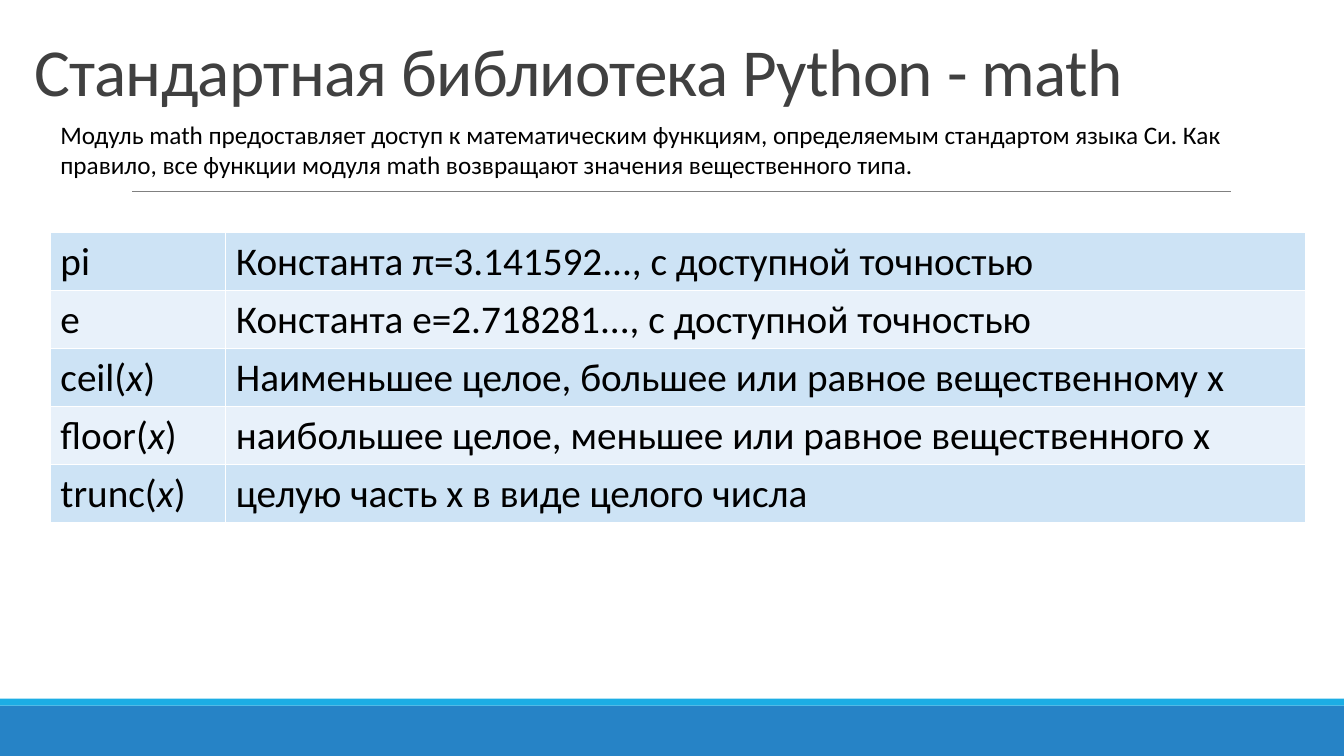
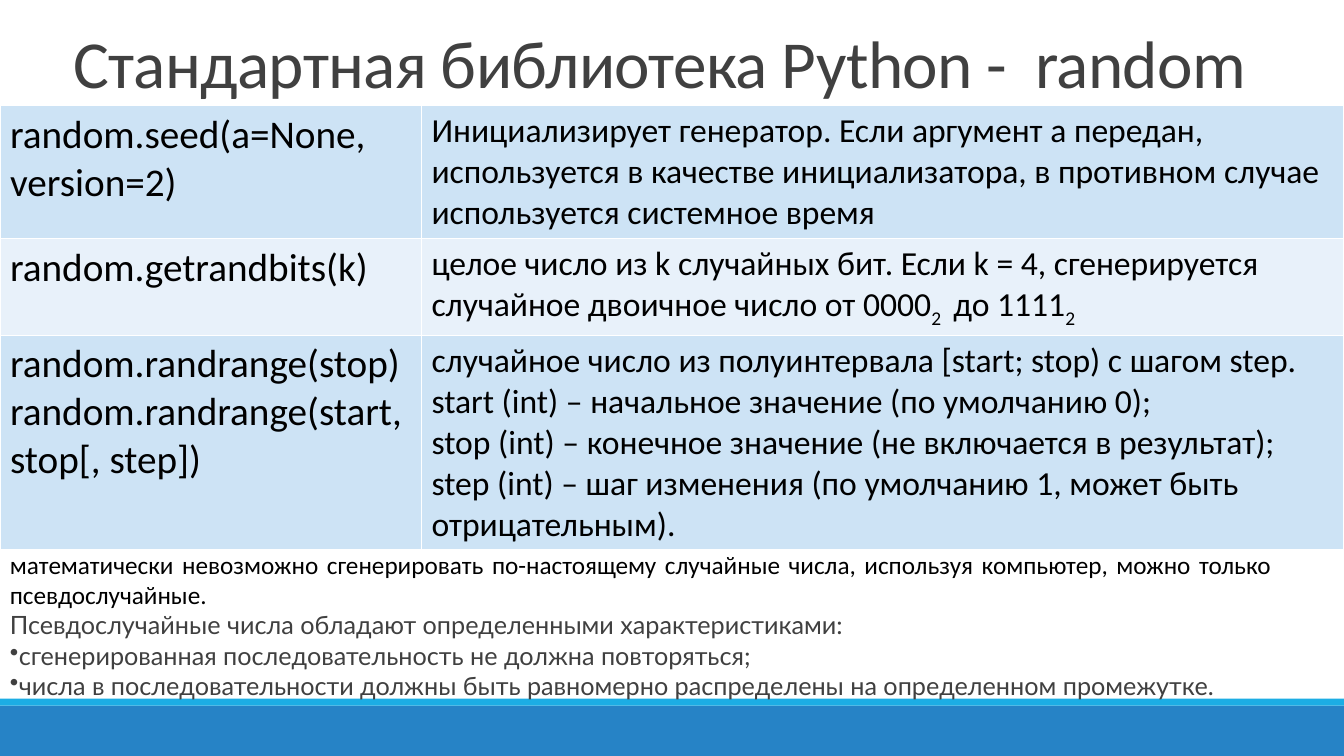
from dataclasses import dataclass

from lxml.etree import SubElement
from pptx import Presentation
from pptx.dml.color import RGBColor as RGB
from pptx.enum.shapes import MSO_CONNECTOR as CONN, MSO_SHAPE as SHAPE
from pptx.enum.text import MSO_ANCHOR as ANCHOR, PP_ALIGN as ALIGN
from pptx.oxml.ns import qn
from pptx.util import Inches, Pt


@dataclass(frozen=True)
class Theme:
    font: str = "Calibri"
    alt_font: str = "Lato"
    ink: str = "000000"
    soft: str = "404040"
    rule: str = "808080"
    grid: str = "FFFFFF"
    band: str = "2683C6"
    strip: str = "1CADE4"
    rows: tuple = ("CDE3F5", "E8F1FA")
    title: int = 48
    term: int = 28
    text: int = 24
    note: int = 18


T = Theme()
ITALIC, SUBSCRIPT = ("i", "1"), ("baseline", "-25000")

# Boxes, column widths and row heights are percentages of the slide's size.
# In table text, every second piece between bars carries the slide's mark.
SLIDES = [
    dict(
        title="Стандартная библиотека Python - math",
        title_box=(1.8, 3.73, 95.35, 11.47),
        table_at=(3.75, 30.8), cols=(13.05, 80.35), rows=[7.67] * 5,
        sizes=(T.term, T.term), mark=ITALIC,
        cells=[
            (["pi"], ["Константа π=3.141592..., с доступной точностью"]),
            (["e"], ["Константа e=2.718281..., с доступной точностью"]),
            (["ceil(|x|)"], ["Наименьшее целое, большее или равное вещественному x"]),
            (["floor(|x|)"], ["наибольшее целое, меньшее или равное вещественного x"]),
            (["trunc(|x|)"], ["целую часть x в виде целого числа"]),
        ],
        note_box=(3.75, 15.07, 88.75, 9.47), note_align=ALIGN.LEFT,
        note=["Модуль math предоставляет доступ к математическим функциям, "
              "определяемым стандартом языка Си. Как правило, все функции модуля "
              "math возвращают значения вещественного типа."],
        details=[], bullets=[],
    ),
    dict(
        title="Стандартная библиотека Python -  random",
        title_box=(4.73, 2.67, 95.35, 11.47),
        table_at=(0, 14), cols=(31.36, 68.64), rows=[17.6, 12.67, 28.4],
        sizes=(T.term, T.text), mark=SUBSCRIPT,
        cells=[
            (["random.seed(a=None, version=2)"],
             ["Инициализирует генератор. Если аргумент a передан, используется "
              "в качестве инициализатора, в противном случае используется "
              "системное время"]),
            (["random.getrandbits(k)"],
             ["целое число из k случайных бит. Если k = 4, сгенерируется "
              "случайное двоичное число от 0000|2 | до 1111|2"]),
            (["random.randrange(stop)", "random.randrange(start, stop[, step])"],
             ["случайное число из полуинтервала [start; stop) с шагом step.",
              "start (int) – начальное значение (по умолчанию 0);",
              "stop (int) – конечное значение (не включается в результат);",
              "step (int) – шаг изменения (по умолчанию 1, может быть "
              "отрицательным)."]),
        ],
        note_box=(0, 72, 95.35, 21.6), note_align=ALIGN.JUSTIFY,
        note=["математически невозможно сгенерировать по-настоящему случайные "
              "числа, используя компьютер, можно только псевдослучайные."],
        details=["Псевдослучайные числа обладают определенными характеристиками:"],
        bullets=["сгенерированная последовательность не должна повторяться;",
                 "числа в последовательности должны быть равномерно распределены "
                 "на определенном промежутке."],
    ),
]

prs = Presentation()
prs.slide_width, prs.slide_height = Inches(13.33), Inches(7.5)


def share(*percents):
    """Turn alternating horizontal and vertical percentages into lengths."""
    sides = (prs.slide_width, prs.slide_height)
    return [int(sides[i % 2] * v / 100) for i, v in enumerate(percents)]


def write(tf, lines, size, color=T.ink, font=T.font, align=ALIGN.LEFT,
          mark=None, bullet=None):
    """Add lines to a text frame, filling its empty first paragraph first."""
    for line in lines:
        p = tf.paragraphs[0] if not tf.text else tf.add_paragraph()
        p.alignment = align
        if bullet:
            SubElement(p._p.get_or_add_pPr(), qn("a:buChar")).set("char", bullet)
        for i, piece in enumerate(line.split("|")):
            r = p.add_run()
            r.text = piece
            if i % 2:
                r._r.get_or_add_rPr().set(*mark)
        p.font.size, p.font.name = Pt(size), font
        p.font.color.rgb = RGB.from_string(color)


for page in SLIDES:
    s = prs.slides.add_slide(prs.slide_layouts[6])

    for top, height, color in ((93.33, 6.67, T.band), (92.4, 0.93, T.strip)):
        sp = s.shapes.add_shape(SHAPE.RECTANGLE, *share(0, top, 100, height))
        sp.shadow.inherit = False
        sp.fill.solid()
        sp.fill.fore_color.rgb = RGB.from_string(color)
        sp.line.fill.background()

    rule = s.shapes.add_connector(CONN.STRAIGHT, *share(9.83, 25.33, 91.6, 25.33))
    rule.line.color.rgb = RGB.from_string(T.rule)
    rule.line.width = Pt(0.5)
    SubElement(rule._element.spPr, qn("a:effectLst"))

    tf = s.shapes.add_textbox(*share(*page["title_box"])).text_frame
    tf.word_wrap = True
    tf.vertical_anchor = ANCHOR.BOTTOM
    write(tf, [page["title"]], T.title, T.soft)
    p = tf.paragraphs[0]
    p.line_spacing = 0.85
    p._p.pPr.find(qn("a:defRPr")).set("spc", "-50")

    cols, rows = page["cols"], page["rows"]
    table = s.shapes.add_table(len(rows), len(cols), *share(
        *page["table_at"], sum(cols), sum(rows))).table
    table.first_row = table.horz_banding = False
    for col, width in zip(table.columns, cols):
        col.width = share(width)[0]
    for i, (row, height) in enumerate(zip(table.rows, rows)):
        row.height = share(0, height)[1]
        for cell, lines, size in zip(row.cells, page["cells"][i], page["sizes"]):
            write(cell.text_frame, lines, size, mark=page["mark"])
            tcPr = cell._tc.get_or_add_tcPr()
            for side in ("lnL", "lnR", "lnT", "lnB"):
                ln = SubElement(tcPr, qn(f"a:{side}"), w=str(Pt(1)))
                fill = SubElement(ln, qn("a:solidFill"))
                SubElement(fill, qn("a:srgbClr"), val=T.grid)
            cell.fill.solid()
            cell.fill.fore_color.rgb = RGB.from_string(T.rows[i % 2])

    tf = s.shapes.add_textbox(*share(*page["note_box"])).text_frame
    tf.word_wrap = True
    align = page["note_align"]
    write(tf, page["note"], T.note, align=align)
    write(tf, page["details"], T.note, T.soft, T.alt_font, align)
    write(tf, page["bullets"], T.note, T.soft, T.alt_font, align, bullet="•")

prs.save("out.pptx")
